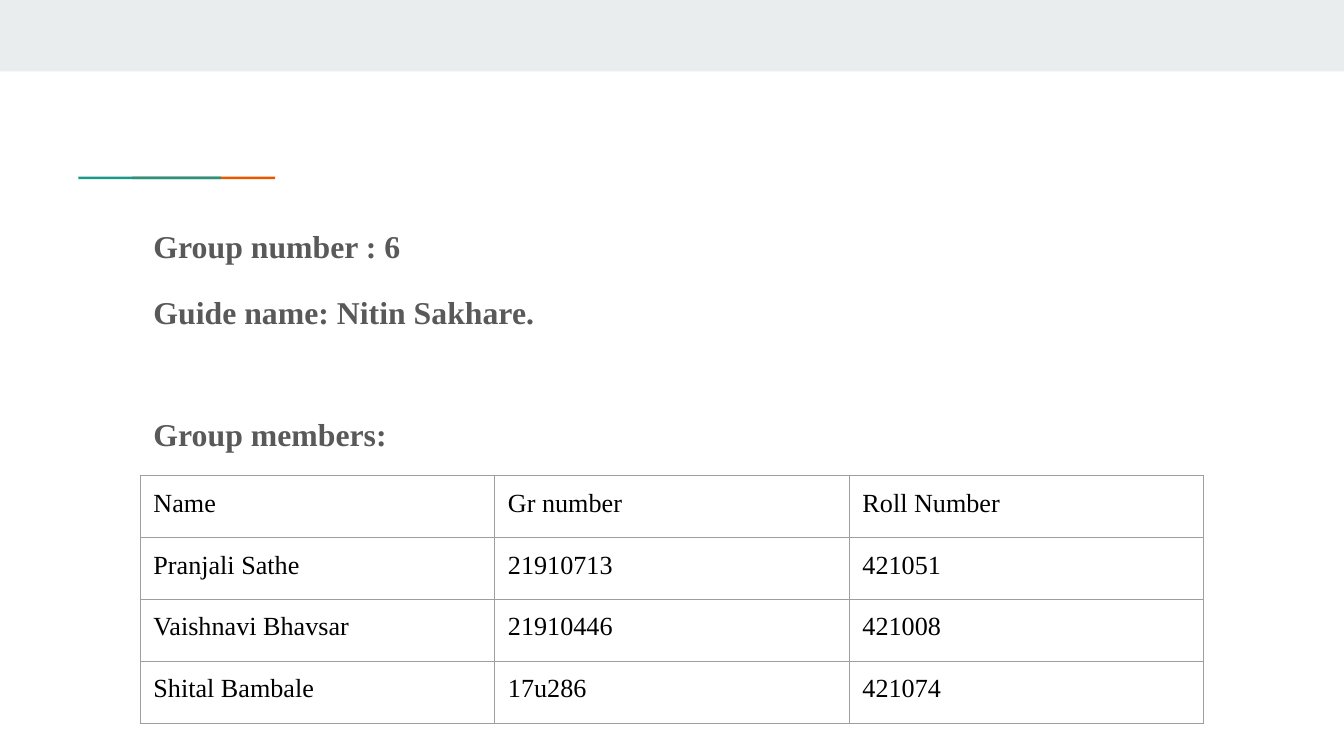
from lxml.etree import SubElement
from pptx import Presentation
from pptx.dml.color import RGBColor
from pptx.enum.shapes import MSO_SHAPE
from pptx.enum.text import MSO_ANCHOR, MSO_AUTO_SIZE
from pptx.oxml.ns import qn
from pptx.util import Cm, Pt

# Content: each detail with the space before it in points
DETAILS = [
    ("Group number : 6", 0),
    ("Guide name: Nitin Sakhare.", 12),
    ("Group members:", 42),
]
MEMBERS = [
    ("Name", "Gr number", "Roll Number"),
    ("Pranjali Sathe", "21910713", "421051"),
    ("Vaishnavi Bhavsar", "21910446", "421008"),
    ("Shital Bambale", "17u286", "421074"),
]

FONT = "Times New Roman"
BAND = RGBColor(0xE9, 0xED, 0xEE)
TEAL = RGBColor(0x1A, 0x99, 0x88)
ORANGE = RGBColor(0xEB, 0x56, 0x00)
GREY = RGBColor(0x59, 0x59, 0x59)
BLACK = RGBColor(0, 0, 0)
BORDER = RGBColor(0x9E, 0x9E, 0x9E)

SLIDE_WIDTH, SLIDE_HEIGHT = Cm(25.4), Cm(14.29)
LEFT = Cm(2.65)
INSET = Cm(0.25)
COLUMN_WIDTH, ROW_HEIGHT = Cm(6.7), Cm(1.17)
ACCENT_TOP, ACCENT_WIDTH, ACCENT_HEIGHT = Cm(3.34), Cm(2.7), Cm(0.05)

# left, top, width, height, colour; the teal accent overlaps the orange one
BARS = [
    (0, 0, SLIDE_WIDTH, Cm(1.35), BAND),
    (Cm(2.5), ACCENT_TOP, ACCENT_WIDTH, ACCENT_HEIGHT, ORANGE),
    (Cm(1.48), ACCENT_TOP, ACCENT_WIDTH, ACCENT_HEIGHT, TEAL),
]


def add_text(paragraph, text, size, color, bold=False):
    run = paragraph.add_run()
    run.text = text
    run.font.name = FONT
    run.font.size = Pt(size)
    run.font.bold = bold
    run.font.color.rgb = color


def set_borders(cell):
    properties = cell._tc.get_or_add_tcPr()
    for position, side in enumerate(("a:lnL", "a:lnR", "a:lnT", "a:lnB")):
        line = SubElement(properties, qn(side), w=str(Pt(0.75)))
        fill = SubElement(line, qn("a:solidFill"))
        SubElement(fill, qn("a:srgbClr"), val=str(BORDER))
        properties.insert(position, line)


presentation = Presentation()
presentation.slide_width = SLIDE_WIDTH
presentation.slide_height = SLIDE_HEIGHT
slide = presentation.slides.add_slide(presentation.slide_layouts[1])
title = slide.shapes.title
title.element.getparent().remove(title.element)

# Top band and accent line
for left, top, width, height, color in BARS:
    bar = slide.shapes.add_shape(MSO_SHAPE.RECTANGLE, left, top, width, height)
    bar.shadow.inherit = False
    bar.fill.solid()
    bar.fill.fore_color.rgb = color
    bar.line.fill.background()

# Group details
details = slide.placeholders[1]
details.left, details.top = LEFT, Cm(3.92)
details.width, details.height = Cm(20.73), Cm(8.28)
frame = details.text_frame
frame.word_wrap = True
frame.auto_size = MSO_AUTO_SIZE.NONE
frame.vertical_anchor = MSO_ANCHOR.TOP
frame.margin_left = frame.margin_right = INSET
frame.margin_top = frame.margin_bottom = INSET
for index, (detail, space_before) in enumerate(DETAILS):
    paragraph = frame.add_paragraph() if index else frame.paragraphs[0]
    paragraph.line_spacing = 1.15
    paragraph.space_before = Pt(space_before)
    paragraph.space_after = Pt(0)
    properties = paragraph._p.get_or_add_pPr()
    properties.set("marL", "0")
    properties.set("indent", "0")
    SubElement(properties, qn("a:buNone"))
    add_text(paragraph, detail, 17, GREY, bold=True)

# Members table
row_count, column_count = len(MEMBERS), len(MEMBERS[0])
members = slide.shapes.add_table(
    row_count, column_count, LEFT, Cm(8.99),
    COLUMN_WIDTH * column_count, ROW_HEIGHT * row_count,
).table
members.first_row = members.horz_banding = False
for column in members.columns:
    column.width = COLUMN_WIDTH
for row, member in zip(members.rows, MEMBERS):
    row.height = ROW_HEIGHT
    for cell, value in zip(row.cells, member):
        cell.margin_left = cell.margin_right = INSET
        cell.margin_top = cell.margin_bottom = INSET
        cell.fill.background()
        set_borders(cell)
        add_text(cell.text_frame.paragraphs[0], value, 14, BLACK)

presentation.save("out.pptx")
